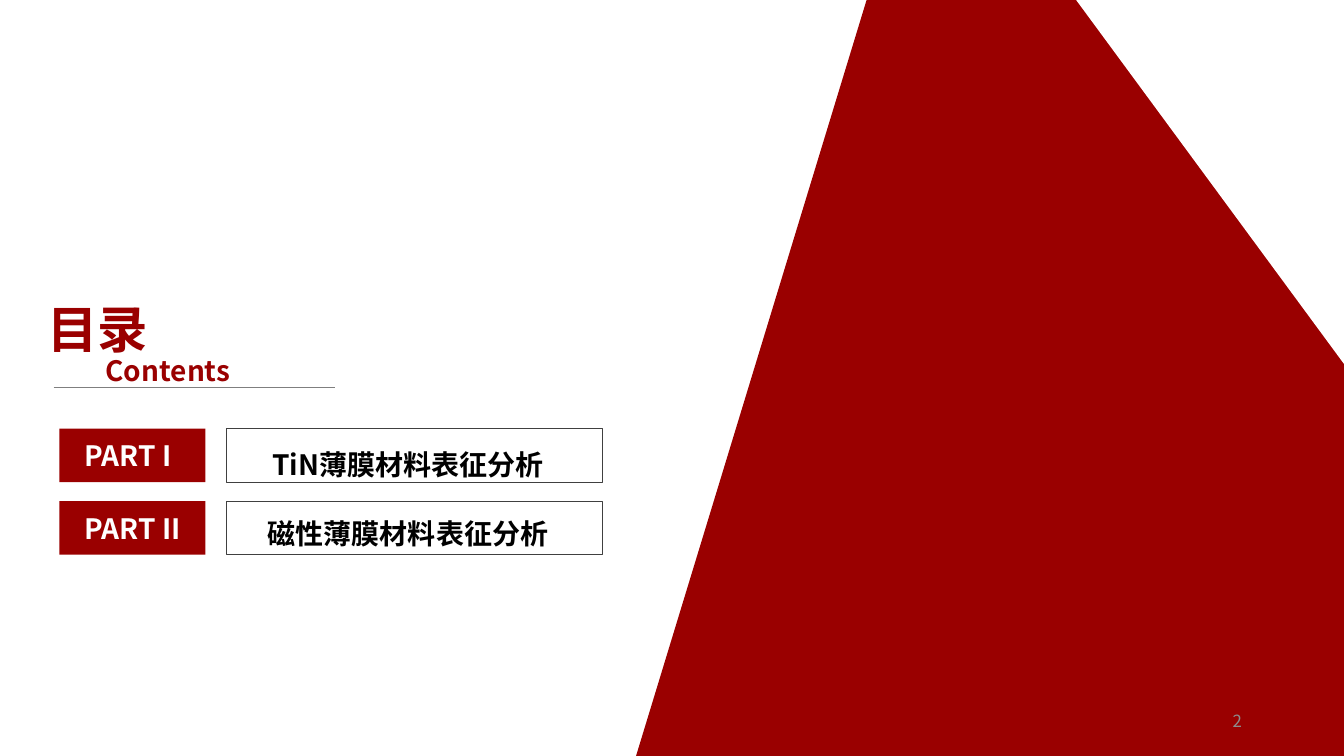
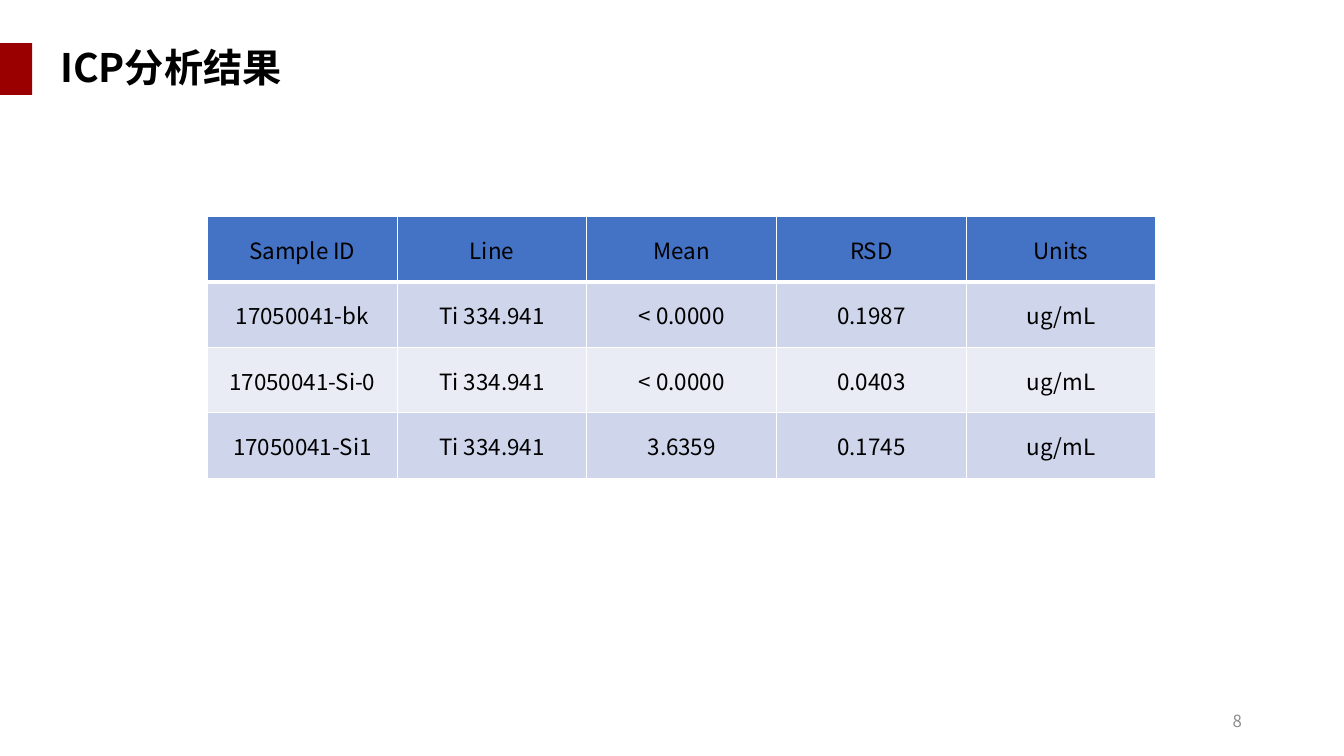
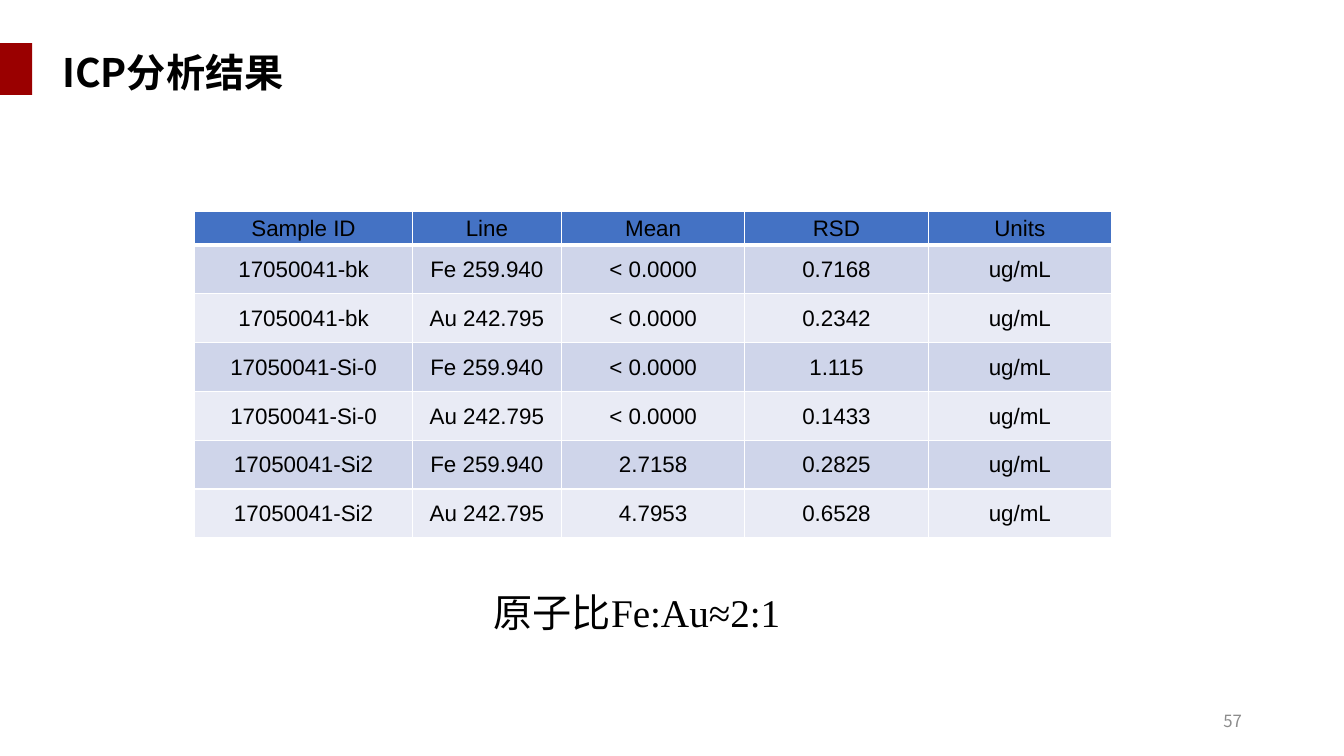
import pptx
import pptx.dml.color
import pptx.enum.shapes
import pptx.enum.text
import pptx.oxml
import pptx.oxml.ns
import pptx.util
from lxml import etree

Cm = pptx.util.Cm
Pt = pptx.util.Pt
ALIGN = pptx.enum.text.PP_ALIGN
ANCHOR = pptx.enum.text.MSO_ANCHOR
qn = pptx.oxml.ns.qn

WIDTH, HEIGHT = 33.87, 19.05
COLORS = {
    "red": "9A0000", "white": "FFFFFF", "black": "000000",
    "frame": "404040", "rule": "7F7F7F", "number": "8C8C8C",
    "header": "4472C4", "dark_band": "CFD5EA", "light_band": "E9EBF5",
}
SANS, ARIAL, SERIF = "Noto Sans CJK SC", "Arial", "Times New Roman"


def rgb(name):
    return pptx.dml.color.RGBColor.from_string(COLORS[name])


class Deck:
    """The shared style and the slide being filled; lengths are in centimetres."""

    def __init__(self):
        self.presentation = pptx.Presentation()
        self.presentation.slide_width = Cm(WIDTH)
        self.presentation.slide_height = Cm(HEIGHT)
        self.slide = None

    def new_slide(self):
        self.slide = self.presentation.slides.add_slide(self.presentation.slide_layouts[6])

    def add_run(self, paragraph, text, size, color="black", bold=False, font=SANS):
        run = paragraph.add_run()
        run.text = text
        run.font.size = Pt(size)
        run.font.bold = bold
        run.font.name = font
        run.font.color.rgb = rgb(color)
        latin = run.font._element.find(qn("a:latin"))
        east_asian = pptx.oxml.parse_xml(etree.tostring(latin))
        east_asian.tag = qn("a:ea")
        latin.addnext(east_asian)

    def paint(self, shape, fill=None, line=None):
        shape.shadow.inherit = False
        if fill:
            shape.fill.solid()
            shape.fill.fore_color.rgb = rgb(fill)
        else:
            shape.fill.background()
        if line:
            shape.line.color.rgb = rgb(line)
            shape.line.width = Pt(0.75)
        else:
            shape.line.fill.background()

    def rectangle(self, left, top, width, height, fill=None, line=None):
        shape = self.slide.shapes.add_shape(
            pptx.enum.shapes.MSO_SHAPE.RECTANGLE, Cm(left), Cm(top), Cm(width), Cm(height))
        self.paint(shape, fill, line)
        return shape

    def label(self, left, top, width, height, text):
        """A red block with white text starting at a fixed inset."""
        frame = self.rectangle(left, top, width, height, fill="red").text_frame
        frame.margin_left = Cm(0.63)
        frame.margin_top = frame.margin_bottom = 0
        frame.vertical_anchor = ANCHOR.MIDDLE
        frame.paragraphs[0].alignment = ALIGN.LEFT
        self.add_run(frame.paragraphs[0], text, 20, "white", True)

    def polygon(self, points, fill):
        corners = [(Cm(x), Cm(y)) for x, y in points]
        builder = self.slide.shapes.build_freeform(*corners[0])
        builder.add_line_segments(corners[1:], close=True)
        self.paint(builder.convert_to_shape(), fill)

    def rule(self, left, top, width):
        connector = self.slide.shapes.add_connector(
            pptx.enum.shapes.MSO_CONNECTOR.STRAIGHT,
            Cm(left), Cm(top), Cm(left + width), Cm(top))
        connector.line.color.rgb = rgb("rule")
        connector.line.width = Pt(0.5)
        etree.SubElement(connector._element.spPr, qn("a:effectLst"))

    def text(self, left, top, width, height, runs, size, color="black", bold=False,
             align=ALIGN.LEFT, anchor=ANCHOR.TOP, spacing=None):
        """A text box of one paragraph; runs are (text, font) pairs."""
        box = self.slide.shapes.add_textbox(Cm(left), Cm(top), Cm(width), Cm(height))
        frame = box.text_frame
        frame.word_wrap = True
        frame.vertical_anchor = anchor
        paragraph = frame.paragraphs[0]
        paragraph.alignment = align
        paragraph.line_spacing = spacing
        for text, font in runs:
            self.add_run(paragraph, text, size, color, bold, font)

    def title(self, left, top, text):
        self.rectangle(0, 1.09, 0.81, 1.3, fill="red")
        self.text(left, top, 17, 1.45, [(text, SANS)], 28, bold=True)

    def page_number(self, number):
        self.text(23.93, 17.65, 7.62, 1.02, [(str(number), SANS)], 12, "number",
                  align=ALIGN.RIGHT, anchor=ANCHOR.MIDDLE)

    def set_borders(self, cell, top, bottom):
        properties = cell._tc.get_or_add_tcPr()
        widths = {"a:lnL": 1, "a:lnR": 1, "a:lnT": top, "a:lnB": bottom}
        for position, (tag, width) in enumerate(widths.items()):
            line = etree.Element(qn(tag), w=str(Pt(width)))
            fill = etree.SubElement(line, qn("a:solidFill"))
            etree.SubElement(fill, qn("a:srgbClr"), val=COLORS["white"])
            properties.insert(position, line)

    def table(self, left, top, column_widths, header_height, row_height, rows, font):
        heights = [header_height] + [row_height] * (len(rows) - 1)
        table = self.slide.shapes.add_table(
            len(rows), len(column_widths), Cm(left), Cm(top),
            Cm(sum(column_widths)), Cm(sum(heights))).table
        table.first_row = table.horz_banding = False
        for column, width in zip(table.columns, column_widths):
            column.width = Cm(width)
        for index, (values, height) in enumerate(zip(rows, heights)):
            table.rows[index].height = Cm(height)
            band = "dark_band" if index % 2 else "light_band"
            for cell, value in zip(table.rows[index].cells, values):
                cell.fill.solid()
                cell.fill.fore_color.rgb = rgb(band if index else "header")
                cell.vertical_anchor = ANCHOR.MIDDLE
                cell.margin_left = cell.margin_right = cell.margin_top = Cm(0.03)
                cell.margin_bottom = 0
                paragraph = cell.text_frame.paragraphs[0]
                paragraph.alignment = ALIGN.CENTER
                self.add_run(paragraph, value, 16, font=font)
                self.set_borders(cell, top=3 if index == 1 else 1, bottom=1 if index else 3)


HEADINGS = ("Sample ID", "Line", "Mean", "RSD", "Units")
RESULT_TITLE = "ICP分析结果"
UNIT = "ug/mL"
BELOW_LIMIT = "< 0.0000"
TITANIUM, IRON, GOLD = "Ti 334.941", "Fe 259.940", "Au 242.795"


def result_rows(measurements):
    return [HEADINGS] + [(*measurement, UNIT) for measurement in measurements]


def contents_slide(deck):
    deck.new_slide()
    deck.polygon([(21.84, 0), (WIDTH, 0), (WIDTH, HEIGHT), (16.03, HEIGHT)], "red")
    deck.polygon([(27.12, 0), (WIDTH, 0), (WIDTH, 9.17)], "white")
    deck.text(0.94, 7.39, 3.99, 1.8, [("目录", SANS)], 36, "red", True)
    deck.text(2.41, 8.79, 3.99, 1.12, [("Contents", SANS)], 20, "red", True)
    deck.rule(1.35, 9.75, 7.09)
    parts = [("PART I", "TiN薄膜材料表征分析", 10.72),
             ("PART II", "磁性薄膜材料表征分析", 12.47)]
    for index, (part, topic, topic_top) in enumerate(parts):
        top = 10.8 + 1.83 * index
        deck.label(1.5, top, 3.68, 1.35, part)
        deck.rectangle(5.72, top, 9.47, 1.35, line="frame")
        deck.text(5.61, topic_top, 9.35, 1.4, [(topic, SANS)], 20, bold=True,
                  align=ALIGN.CENTER, spacing=1.5)
    deck.page_number(2)


def titanium_slide(deck):
    deck.new_slide()
    deck.title(1.27, 0.97, RESULT_TITLE)
    deck.table(5.23, 5.45, [4.78] * 5, 1.65, 1.65, result_rows([
        ("17050041-bk", TITANIUM, BELOW_LIMIT, "0.1987"),
        ("17050041-Si-0", TITANIUM, BELOW_LIMIT, "0.0403"),
        ("17050041-Si1", TITANIUM, "3.6359", "0.1745"),
    ]), SANS)
    deck.page_number(8)


def iron_gold_slide(deck):
    deck.new_slide()
    deck.title(1.32, 1.09, RESULT_TITLE)
    deck.table(4.91, 5.33, [5.48, 3.76] + [4.62] * 3, 0.84, 1.23, result_rows([
        ("17050041-bk", IRON, BELOW_LIMIT, "0.7168"),
        ("17050041-bk", GOLD, BELOW_LIMIT, "0.2342"),
        ("17050041-Si-0", IRON, BELOW_LIMIT, "1.115"),
        ("17050041-Si-0", GOLD, BELOW_LIMIT, "0.1433"),
        ("17050041-Si2", IRON, "2.7158", "0.2825"),
        ("17050041-Si2", GOLD, "4.7953", "0.6528"),
    ]), ARIAL)
    deck.text(12.19, 14.71, 8.69, 1.45, [("原子比", SANS), ("Fe:Au≈2:1", SERIF)], 28)
    deck.page_number(57)


def main():
    deck = Deck()
    contents_slide(deck)
    titanium_slide(deck)
    iron_gold_slide(deck)
    deck.presentation.save("out.pptx")


if __name__ == "__main__":
    main()
